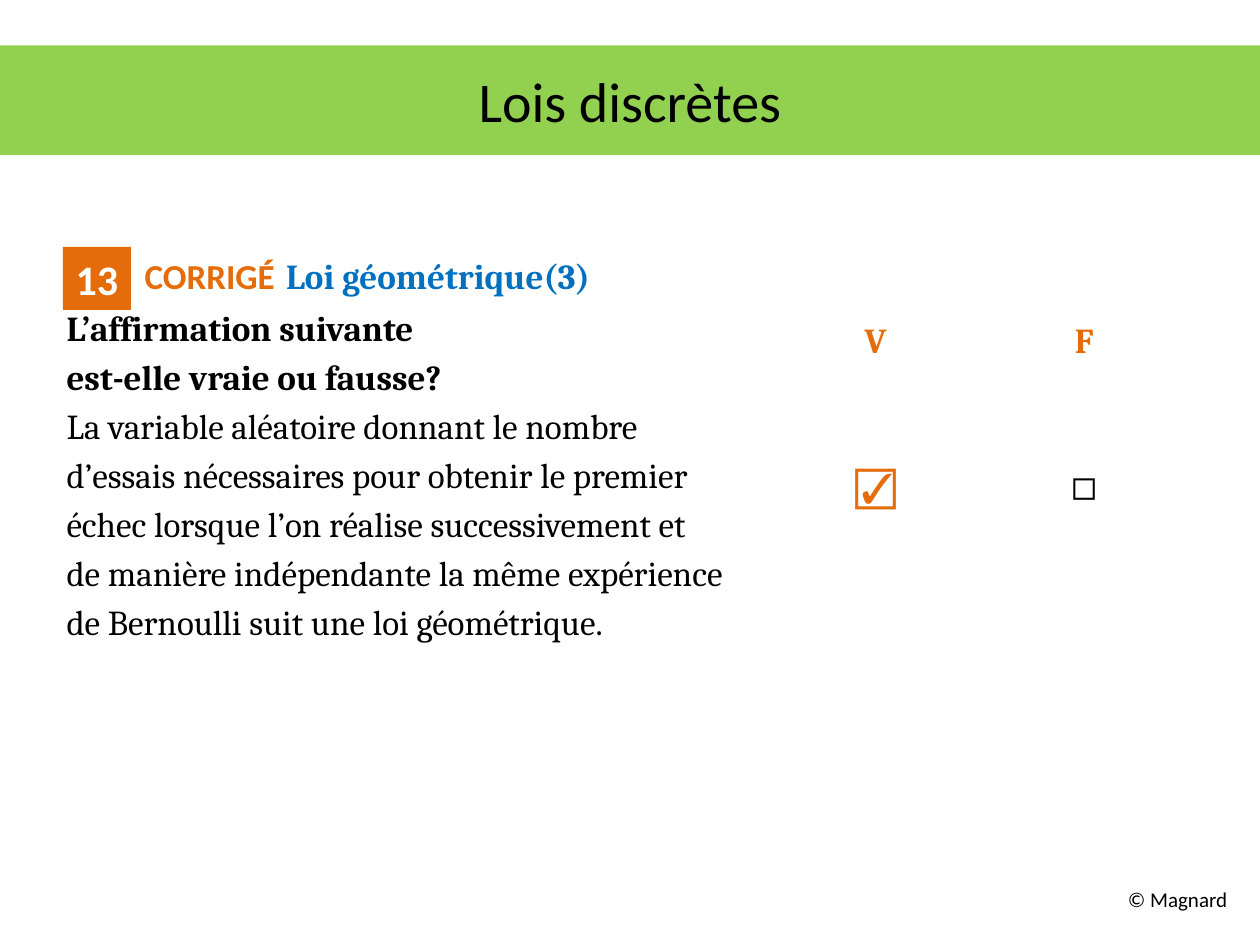
from dataclasses import dataclass

import pptx
import pptx.dml.color
import pptx.enum.shapes
import pptx.enum.text
import pptx.util
from pptx.util import Inches

COLORS = {
    "green": "92D050",
    "orange": "E46C0A",
    "blue": "0070C0",
    "black": "000000",
    "white": "FFFFFF",
}
ALIGN = pptx.enum.text.PP_ALIGN
MIDDLE = pptx.enum.text.MSO_ANCHOR.MIDDLE


@dataclass
class Style:
    size: float
    color: str = "black"
    bold: bool = False
    face: str = "Cambria"


@dataclass
class Answer:
    row: int
    column: int
    text: str
    style: Style


def rgb(name: str) -> pptx.dml.color.RGBColor:
    return pptx.dml.color.RGBColor.from_string(COLORS[name])


def apply_font(font: pptx.text.text.Font, style: Style) -> None:
    font.name = style.face
    font.size = pptx.util.Pt(style.size)
    font.bold = style.bold
    font.color.rgb = rgb(style.color)


def write(paragraph, text: str, style: Style, align=ALIGN.LEFT) -> None:
    paragraph.text = text
    paragraph.alignment = align
    apply_font(paragraph.font, style)


def fill_answer(table, answer: Answer) -> None:
    cell = table.cell(answer.row, answer.column)
    cell.vertical_anchor = MIDDLE
    write(cell.text_frame.paragraphs[0], answer.text, answer.style, ALIGN.CENTER)


HEADING = [
    ("CORRIGÉ", Style(20, "orange", True, "Calibri")),
    (" ", Style(28, "orange", True, "Calibri")),
    ("Loi géométrique(3)", Style(20, "blue", True)),
]
QUESTION = ["L’affirmation suivante", "est-elle vraie ou fausse?"]
STATEMENT = [
    "La variable aléatoire donnant le nombre",
    "d’essais nécessaires pour obtenir le premier",
    "échec lorsque l’on réalise successivement et",
    "de manière indépendante la même expérience",
    "de Bernoulli suit une loi géométrique.",
]
ANSWERS = [
    Answer(0, 0, "V", Style(20, "orange", True)),
    Answer(0, 1, "F", Style(20, "orange", True)),
    Answer(1, 0, "☑", Style(24, "orange")),
    Answer(1, 1, "◻", Style(24)),
]


def main() -> None:
    deck = pptx.Presentation()
    deck.slide_width, deck.slide_height = Inches(10), Inches(7.5)
    slide = deck.slides.add_slide(deck.slide_layouts[5])
    shapes = slide.shapes

    # Title band
    title = shapes.title
    title.left, title.top = Inches(0), Inches(0.36)
    title.width, title.height = Inches(10), Inches(0.87)
    title.fill.solid()
    title.fill.fore_color.rgb = rgb("green")
    title.text_frame.vertical_anchor = MIDDLE
    write(title.text_frame.paragraphs[0], "Lois discrètes",
          Style(32, face="Calibri"), ALIGN.CENTER)

    # Exercise heading and wording
    exercise = shapes.add_textbox(
        Inches(0.43), Inches(1.86), Inches(9), Inches(4.95)).text_frame
    exercise.word_wrap = True
    heading = exercise.paragraphs[0]
    heading._p.get_or_add_pPr().set("marL", str(Inches(0.62)))
    for text, style in HEADING:
        run = heading.add_run()
        run.text = text
        apply_font(run.font, style)
    for line in QUESTION + STATEMENT:
        paragraph = exercise.add_paragraph()
        paragraph.line_spacing = pptx.util.Pt(28)
        write(paragraph, line, Style(20, bold=line in QUESTION))

    # Exercise number
    badge = shapes.add_shape(pptx.enum.shapes.MSO_SHAPE.RECTANGLE,
                             Inches(0.5), Inches(1.96), Inches(0.54), Inches(0.5))
    badge.shadow.inherit = False
    badge.fill.solid()
    badge.fill.fore_color.rgb = rgb("orange")
    badge.line.fill.background()
    badge.text_frame.word_wrap = False
    badge.text_frame.vertical_anchor = MIDDLE
    write(badge.text_frame.paragraphs[0], "13",
          Style(24, "white", True, "Calibri"), ALIGN.CENTER)

    # True / false answers
    answers = shapes.add_table(
        3, 2, Inches(6.12), Inches(2.5), Inches(3.31), Inches(2.9)).table
    answers.first_row = answers.horz_banding = False
    for column, width in zip(answers.columns, (1.66, 1.65)):
        column.width = Inches(width)
    for row, height in zip(answers.rows, (0.42, 1.88, 0.6)):
        row.height = Inches(height)
    for cell in answers.iter_cells():
        cell.fill.background()
    for answer in ANSWERS:
        fill_answer(answers, answer)

    # Copyright line, with room to stay on one line
    footer = shapes.add_textbox(
        Inches(8.66), Inches(6.94), Inches(1.25), Inches(0.4)).text_frame
    footer.word_wrap = True
    footer.margin_left = Inches(0)
    footer.margin_right = Inches(0.17)
    footer.vertical_anchor = MIDDLE
    write(footer.paragraphs[0], "© Magnard", Style(12, face="Calibri"), ALIGN.RIGHT)

    deck.save("out.pptx")


if __name__ == "__main__":
    main()
